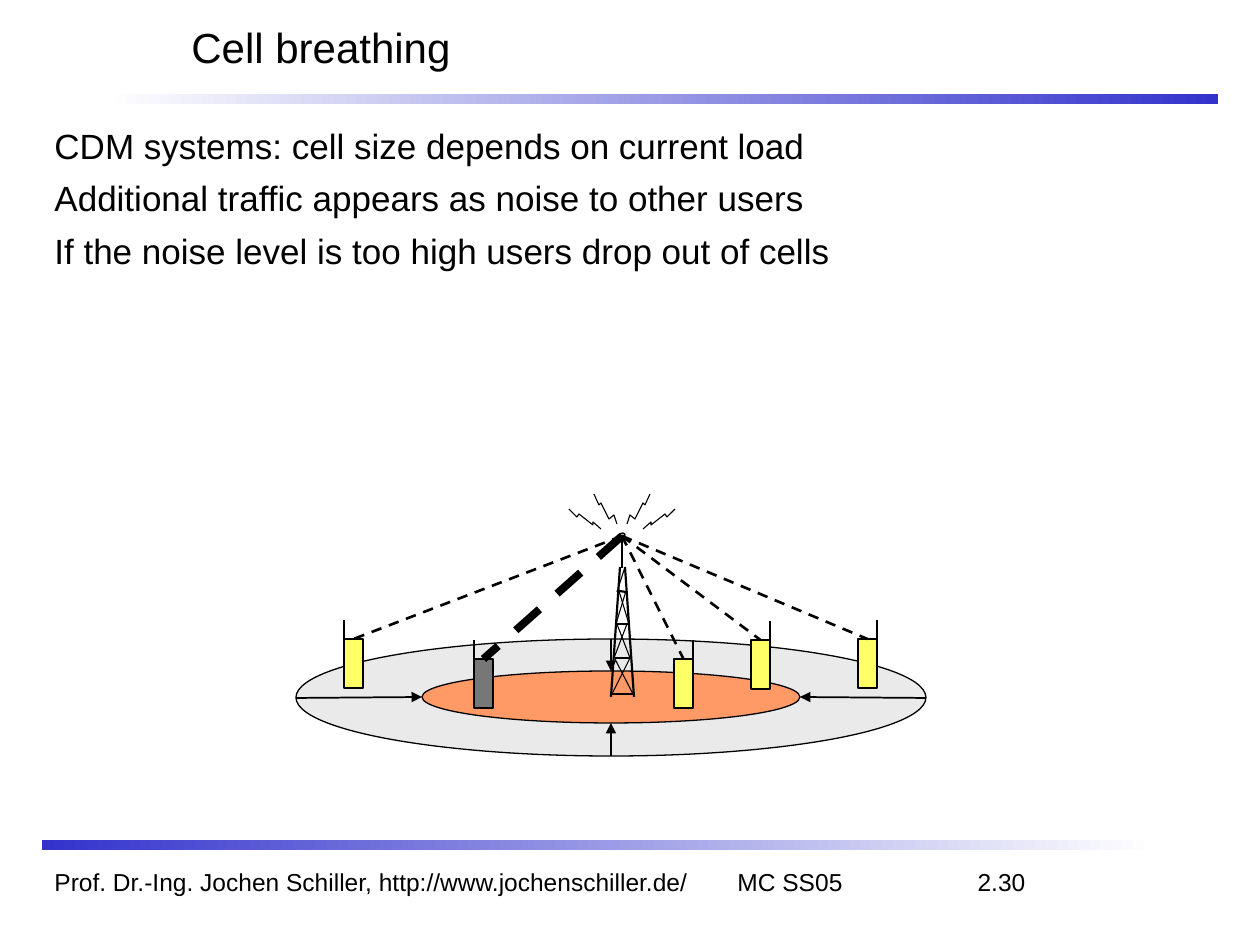
from lxml import etree
from pptx import Presentation
from pptx.dml.color import RGBColor
from pptx.enum.dml import MSO_LINE
from pptx.enum.shapes import MSO_CONNECTOR, MSO_SHAPE
from pptx.enum.text import MSO_ANCHOR
from pptx.oxml.ns import qn
from pptx.util import Pt

RECT, OVAL = MSO_SHAPE.RECTANGLE, MSO_SHAPE.OVAL
STRAIGHT, DASH = MSO_CONNECTOR.STRAIGHT, MSO_LINE.DASH
MIDDLE, TOP = MSO_ANCHOR.MIDDLE, MSO_ANCHOR.TOP
PX = 914400 / 126
BLACK, WHITE, BLUE = "000000", "FFFFFF", "3333CC"
YELLOW, GREY = "FFFF66", "777777"


def add_shape(shapes, kind, box, fill):
    shp = shapes.add_shape(kind, *[round(v * PX) for v in box])
    shp.shadow.inherit = False
    shp.fill.solid()
    shp.fill.fore_color.rgb = RGBColor.from_string(fill)
    shp.line.color.rgb = RGBColor.from_string(BLACK)
    shp.line.width = Pt(0.75)
    return shp


def add_line(shapes, ends, width):
    cxn = shapes.add_connector(STRAIGHT, *[round(v * PX) for v in ends])
    cxn.line.color.rgb = RGBColor.from_string(BLACK)
    cxn.line.width = Pt(width)
    etree.SubElement(cxn._element.spPr, qn("a:effectLst"))
    return cxn


prs = Presentation()
prs.slide_width, prs.slide_height = round(1260 * PX), round(945 * PX)
s = prs.slides.add_slide(prs.slide_layouts[6])

for x, y, colors in [(105, 94, (WHITE, BLUE)), (42, 840, (BLUE, WHITE))]:
    bar = add_shape(s.shapes, RECT, (x, y, 1113, 10), BLUE)
    bar.line.fill.background()
    bar.fill.gradient()
    bar.fill.gradient_angle = 0
    for stop, color in zip(bar.fill.gradient_stops, colors):
        stop.color.rgb = RGBColor.from_string(color)

texts = [
    ((42, 861, 1103, 42), 14, TOP,
     ["Prof. Dr.-Ing. Jochen Schiller, http://www.jochenschiller.de/\tMC SS05\t2.30"]),
    ((179, 0, 1061, 94), 24, MIDDLE, ["Cell breathing"]),
    ((42, 118, 1176, 712), 20, TOP,
     ["CDM systems: cell size depends on current load",
      "Additional traffic appears as noise to other users",
      "If the noise level is too high users drop out of cells"]),
]
for box, size, anchor, lines in texts:
    tf = s.shapes.add_textbox(*[round(v * PX) for v in box]).text_frame
    tf.word_wrap = True
    tf.vertical_anchor = anchor
    for i, text in enumerate(lines):
        p = tf.add_paragraph() if i else tf.paragraphs[0]
        if i:
            p.space_before = Pt(6)
        if "\t" in text:
            tabs = etree.SubElement(p._p.get_or_add_pPr(), qn("a:tabLst"))
            for pos, align in [(683, "l"), (971, "r")]:
                etree.SubElement(tabs, qn("a:tab"), pos=str(round(pos * PX)), algn=align)
        r = p.add_run()
        r.text = text
        r.font.size = Pt(size)
        r.font.name = "Arial"
        r.font.color.rgb = RGBColor.from_string(BLACK)

add_shape(s.shapes, OVAL, (296, 639, 630, 117), "EAEAEA")
add_shape(s.shapes, OVAL, (422, 671, 378, 52), "FF9966")

MAST_X = 622
bolts = [
    [(643, 529), (651, 522), (651, 525), (665, 514), (667, 517), (675, 509)],
    [(627, 524), (630, 515), (635, 519), (643, 503), (645, 505), (650, 494)],
]
mirrored = [[(2 * MAST_X - x, y) for x, y in bolt] for bolt in bolts]
waves = s.shapes.add_group_shape()
for bolt in bolts + mirrored:
    builder = waves.shapes.build_freeform(*bolt[0], scale=PX)
    builder.add_line_segments(bolt[1:], close=False)
    wave = builder.convert_to_shape()
    wave.shadow.inherit = False
    wave.fill.background()
    wave.line.color.rgb = RGBColor.from_string(BLACK)
    wave.line.width = Pt(0.62)

tower = s.shapes.add_group_shape()
frame = [(622, 568, 622, 534), (611, 697, 620, 567), (625, 567, 634, 697),
         (619, 591, 626, 592), (617, 624, 629, 624), (615, 658, 631, 658),
         (612, 694, 633, 694)]
braces = [(615, 659, 633, 694), (630, 658, 612, 694), (617, 624, 630, 658),
          (614, 658, 627, 624), (619, 591, 629, 624), (616, 624, 626, 591),
          (617, 592, 625, 567)]
for bars, width in [(frame, 1.25), (braces, 0.62)]:
    for ends in bars:
        add_line(tower.shapes, ends, width)
add_shape(tower.shapes, OVAL, (620, 533, 5, 4), "C0C0C0")

PHONE_W, PHONE_H, ANTENNA_H = 19, 49, 19
phones = []
for x, y, antenna_x, color in [(344, 639, 344, YELLOW), (474, 659, 474, GREY),
                               (674, 659, 693, YELLOW), (751, 640, 770, YELLOW),
                               (858, 639, 877, YELLOW)]:
    group = s.shapes.add_group_shape()
    phones.append(add_shape(group.shapes, RECT, (x, y, PHONE_W, PHONE_H), color))
    add_line(group.shapes, (antenna_x, y, antenna_x, y - ANTENNA_H), 0.75)

for phone, width in zip(phones, [1.5, 4.5, 1.5, 1.5, 1.5]):
    link = add_line(s.shapes, (MAST_X, 536, MAST_X, 536), width)
    link.line.dash_style = DASH
    link.end_connect(phone, 0)

for ends in [(296, 698, 422, 697), (611, 756, 611, 723),
             (926, 698, 800, 697), (611, 639, 611, 671)]:
    arrow = add_line(s.shapes, ends, 1)
    etree.SubElement(arrow.line._get_or_add_ln(), qn("a:tailEnd"), type="triangle")

prs.save("out.pptx")
